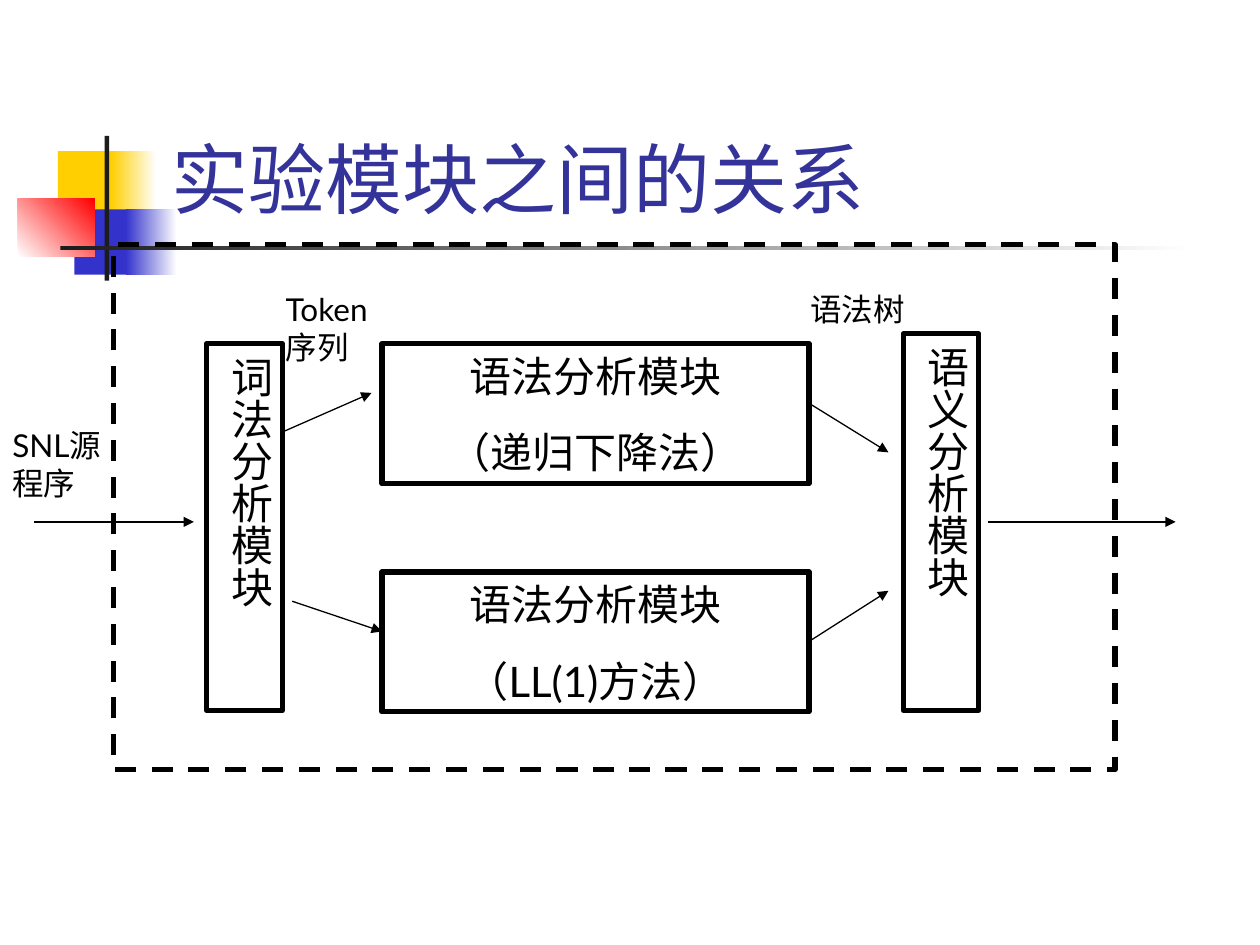
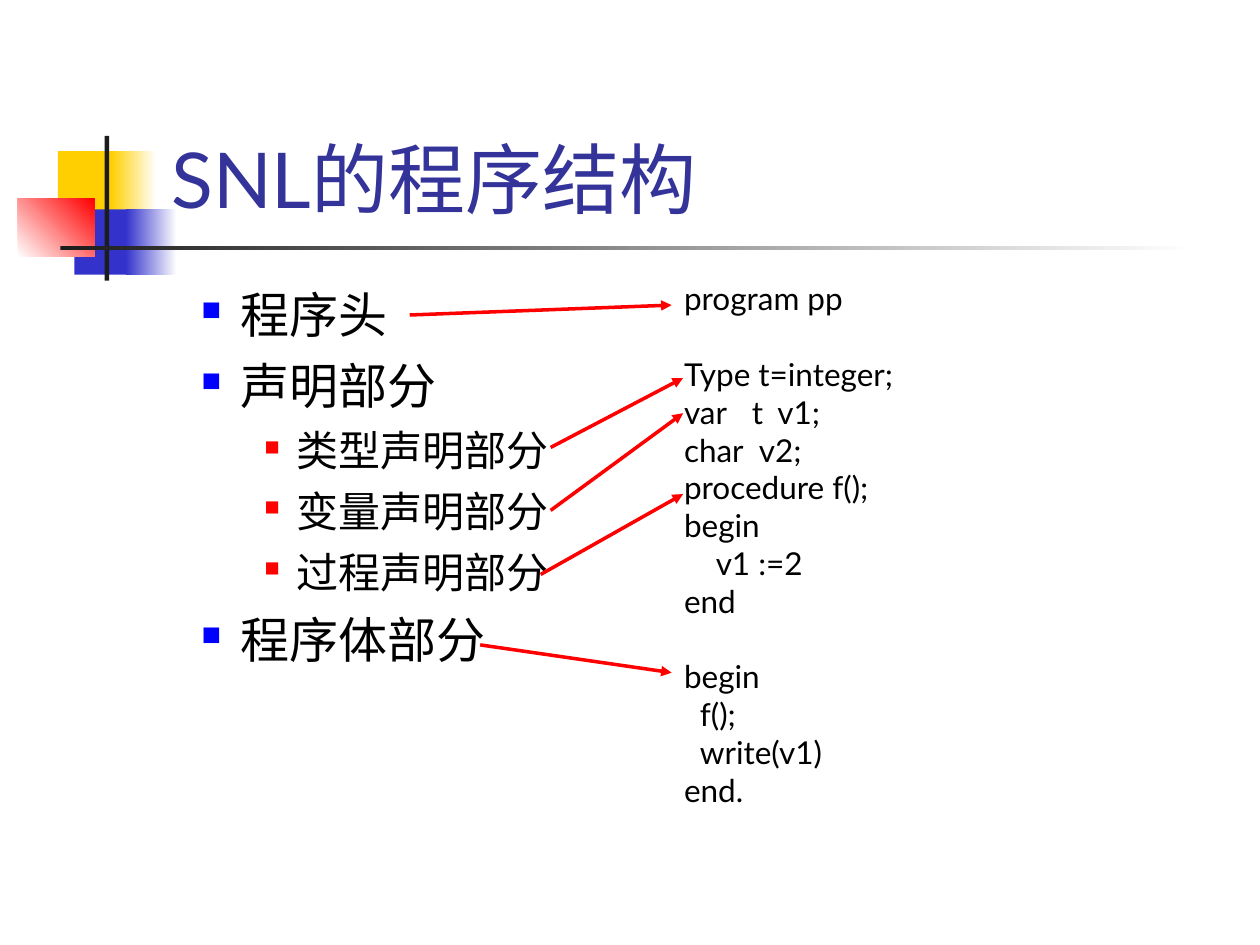
from dataclasses import dataclass

import pptx
import pptx.dml.color
import pptx.enum.dml
import pptx.enum.shapes
import pptx.enum.text
import pptx.oxml.ns
import pptx.util
from lxml import etree

Cm, Pt = pptx.util.Cm, pptx.util.Pt
ALIGN = pptx.enum.text.PP_ALIGN
FIT = pptx.enum.text.MSO_AUTO_SIZE
TOP = pptx.enum.text.MSO_ANCHOR.TOP
LOW = pptx.enum.text.MSO_ANCHOR.BOTTOM


@dataclass(frozen=True)
class Theme:
    font: str = "Lato"
    title: str = "333399"
    ink: str = "000000"
    dark: str = "1C1C1C"
    gold: str = "FFCF01"
    navy: str = "3333CC"
    blue: str = "0000FF"
    red: str = "FF0000"
    white: str = "FFFFFF"
    head: int = 44
    big: int = 28
    mid: int = 24
    small: int = 18


T = Theme()

# Shared band: place (left, top, width, height in cm), colours, angle
BAND = [
    ((1.17, 3.05, 1.22, 1.32), [T.gold], 0),
    ((2.24, 3.05, 0.91, 1.32), [T.gold, T.white], 0),
    ((1.5, 4.22, 1.17, 1.32), [T.navy], 0),
    ((2.54, 4.22, 1.02, 1.32), [T.navy, T.white], 0),
    ((0.36, 4.01, 1.55, 1.17), [T.white, T.red], 45),
    ((2.11, 2.74, 0.09, 2.92), [T.dark], 0),
    ((1.22, 4.95, 22.86, 0.09), [T.dark, T.white], 0),
]
TITLE = (3.2, 0.58, 21.64, 4.06)

# Slide 1: modules
MODULES = "实验模块之间的关系"
TALL = [
    ("语义分析模块", (18.21, 6.73, 1.52, 7.59)),
    ("词法分析模块", (4.17, 6.93, 1.52, 7.39)),
]
WIDE = ["（递归下降法）", "（LL(1)方法）"]
PARSER = "语法分析模块"
FIRST, STEP = (7.7, 6.93, 8.61, 2.82), 4.6
FRAME = (2.29, 4.93, 20.19, 10.59)
FLOWS = [
    (0.69, 10.52, 3.91, 10.52),
    (5.69, 8.71, 7.49, 7.92),
    (5.89, 12.12, 7.7, 12.73),
    (16.31, 8.13, 17.91, 9.12),
    (16.31, 12.93, 17.91, 11.91),
    (19.91, 10.52, 23.7, 10.52),
]
NOTES = [
    ("SNL源程序", (0, 8.46, 2.54, 1.78)),
    ("Token序列", (5.51, 5.72, 2.54, 1.78)),
    ("语法树", (16.08, 5.72, 2.54, 1.02)),
]

# Slide 2: outline (level, text) and code (text, indent, gap lines, tab stops)
PROGRAM = "SNL的程序结构"
PARTS = [
    (1, "程序头"),
    (1, "声明部分"),
    (2, "类型声明部分"),
    (2, "变量声明部分"),
    (2, "过程声明部分"),
    (1, "程序体部分"),
]
LEVELS = {
    1: dict(size=T.big, before=7, left=2.06, hang=-0.79, hue=T.blue, scale=55),
    2: dict(size=T.mid, before=6, left=3.18, hang=-0.64, hue=T.red, scale=50),
}
CODE = [
    ("program pp", 0, 0, ()),
    ("Type t=integer;", 0, 1, ()),
    ("var\tt\tv1;", 0, 0, (1.37, 1.88)),
    ("char\tv2;", 0, 0, (1.51,)),
    ("procedure f();", 0, 0, ()),
    ("begin", 0, 0, ()),
    ("v1 :=2", 0.64, 0, ()),
    ("end", 0, 0, ()),
    ("begin", 0, 1, ()),
    ("f();", 0.32, 0, ()),
    ("write(v1)", 0.32, 0, ()),
    ("end.", 0, 0, ()),
]
LIST_AT = (2.54, 5.61, 10.8, 13.03)
CODE_AT = (13.54, 5.51, 9.96, 10.92)
LINKS = [
    (8.26, 6.35, 13.54, 6.15),
    (11.1, 9.02, 13.77, 7.62),
    (11.1, 10.29, 13.77, 8.33),
    (10.9, 11.58, 13.77, 9.96),
    (9.68, 13, 13.54, 13.56),
]


# Helpers
def put(thing, **vals):
    for key, val in vals.items():
        setattr(thing, key, val)


def rgb(hue):
    return pptx.dml.color.RGBColor.from_string(hue)


def cms(nums):
    return [Cm(n) for n in nums]


def node(up, tag, **attrs):
    kid = etree.SubElement(up, pptx.oxml.ns.qn(tag))
    for key, val in attrs.items():
        kid.set(key, str(val))
    return kid


def write(par, text, size, hue=T.ink, **vals):
    put(par, **vals)
    run = par.add_run()
    run.text = text
    put(run.font, name=T.font, size=Pt(size))
    run.font.color.rgb = rgb(hue)


def lines(frame, count):
    pars = [frame.paragraphs[0]]
    while len(pars) < count:
        pars.append(frame.add_paragraph())
    return pars


def rect(slide, place):
    box = slide.shapes.add_shape(pptx.enum.shapes.MSO_SHAPE.RECTANGLE, *cms(place))
    box.shadow.inherit = False
    return box


def outline(slide, place):
    box = rect(slide, place)
    box.fill.background()
    box.line.color.rgb = rgb(T.ink)
    box.line.width = Pt(3)
    return box


def module(slide, place, texts, upright=False):
    frame = outline(slide, place).text_frame
    side, end = (0.13, 0.25) if upright else (0.25, 0.13)
    put(frame, word_wrap=True, vertical_anchor=TOP,
        auto_size=FIT.SHAPE_TO_FIT_TEXT, margin_left=Cm(side),
        margin_right=Cm(side), margin_top=Cm(end), margin_bottom=Cm(end))
    if upright:
        frame._txBody.bodyPr.set("vert", "eaVert")
    for par, text in zip(lines(frame, len(texts)), texts):
        write(par, text, T.mid, alignment=ALIGN.CENTER, space_before=Pt(15))


def textbox(slide, place):
    frame = slide.shapes.add_textbox(*cms(place)).text_frame
    put(frame, word_wrap=True, vertical_anchor=TOP)
    return frame


def arrow(slide, ends, hue, width):
    kind = pptx.enum.shapes.MSO_CONNECTOR.STRAIGHT
    link = slide.shapes.add_connector(kind, *cms(ends))
    link.line.color.rgb = rgb(hue)
    link.line.width = Pt(width)
    node(link.line._get_or_add_ln(), "a:tailEnd", type="triangle")
    node(link.element.spPr, "a:effectLst")


def start(deck, text):
    slide = deck.slides.add_slide(deck.slide_layouts[5])
    for place, hues, angle in BAND:
        bar = rect(slide, place)
        bar.line.fill.background()
        if len(hues) == 1:
            bar.fill.solid()
            bar.fill.fore_color.rgb = rgb(hues[0])
            continue
        bar.fill.gradient()
        bar.fill.gradient_angle = angle
        for stop, hue in zip(bar.fill.gradient_stops, hues):
            stop.color.rgb = rgb(hue)
    title = slide.shapes.title
    slide.shapes.element.append(title.element)  # above the band
    put(title, **dict(zip(("left", "top", "width", "height"), cms(TITLE))))
    put(title.text_frame, vertical_anchor=LOW, word_wrap=True, auto_size=FIT.NONE)
    write(title.text_frame.paragraphs[0], text, T.head, T.title,
          alignment=ALIGN.LEFT)
    return slide


# Slides
def modules(deck):
    slide = start(deck, MODULES)
    for text, place in TALL:
        module(slide, place, [text], upright=True)
    left, top, width, height = FIRST
    for row, way in enumerate(WIDE):
        module(slide, (left, top + row * STEP, width, height), [PARSER, way])
    for ends in FLOWS:
        arrow(slide, ends, T.ink, 0.75)
    outline(slide, FRAME).line.dash_style = pptx.enum.dml.MSO_LINE.DASH
    for text, place in NOTES:
        write(textbox(slide, place).paragraphs[0], text, T.small)


def program(deck):
    slide = start(deck, PROGRAM)
    pars = lines(textbox(slide, LIST_AT), len(PARTS))
    for par, (level, text) in zip(pars, PARTS):
        look = LEVELS[level]
        write(par, text, look["size"], level=level - 1,
              space_before=Pt(look["before"]))
        props = par._p.get_or_add_pPr()
        props.set("marL", str(Cm(look["left"])))
        props.set("indent", str(Cm(look["hang"])))
        node(node(props, "a:buClr"), "a:srgbClr", val=look["hue"])
        node(props, "a:buSzPct", val=look["scale"] * 1000)
        node(props, "a:buChar", char="■")
    pars = lines(textbox(slide, CODE_AT), len(CODE))
    for par, (text, dent, gap, tabs) in zip(pars, CODE):
        write(par, text, T.small, space_before=Pt(gap * T.small * 1.2))
        props = par._p.get_or_add_pPr()
        props.set("marL", str(Cm(dent)))
        if tabs:
            stops = node(props, "a:tabLst")
            for tab in tabs:
                node(stops, "a:tab", pos=Cm(tab), algn="l")
    for ends in LINKS:
        arrow(slide, ends, T.red, 2)


def main():
    deck = pptx.Presentation()
    put(deck, slide_width=Cm(25.4), slide_height=Cm(19.05))
    modules(deck)
    program(deck)
    deck.save("out.pptx")


if __name__ == "__main__":
    main()
